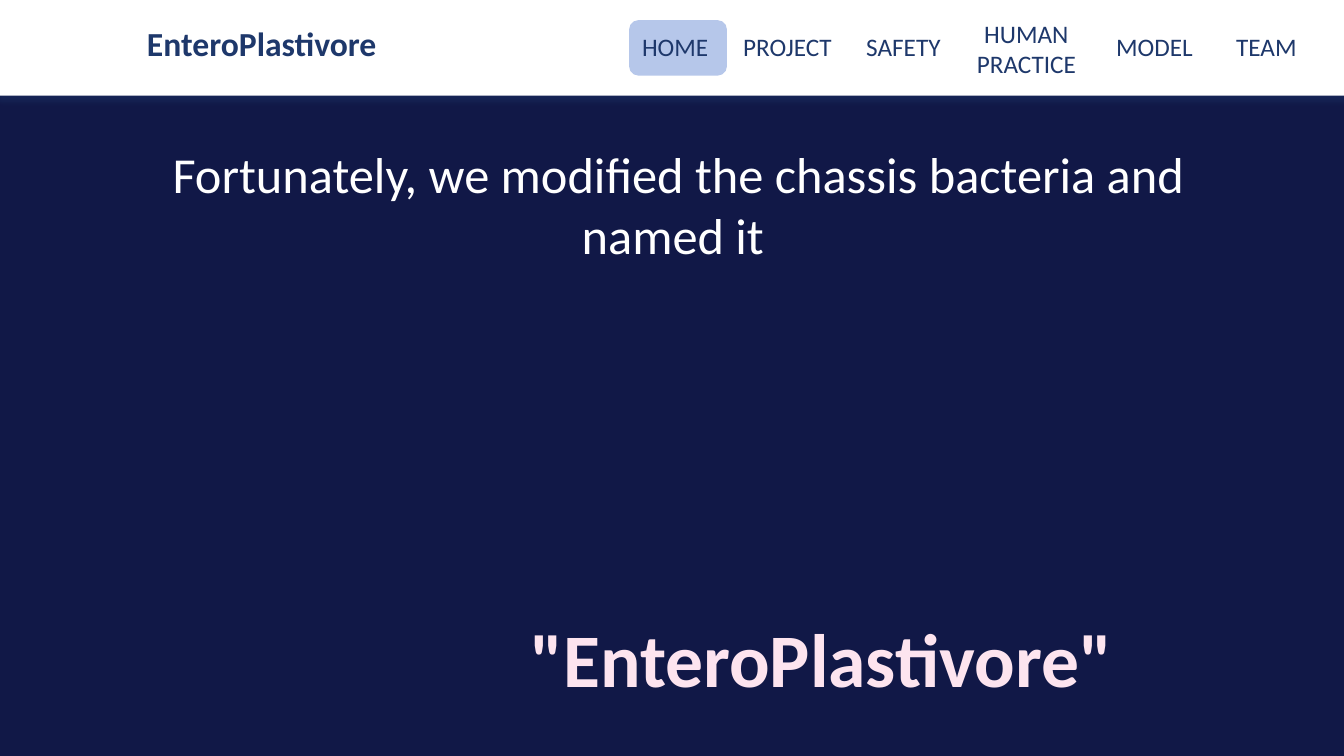
from dataclasses import dataclass

from lxml import etree
from pptx import Presentation
from pptx import util as u
from pptx.dml.color import RGBColor
from pptx.enum import shapes, text
from pptx.oxml.ns import qn


@dataclass(frozen=True)
class Theme:
    font: str = "Calibri"
    background: str = "111847"
    bar: str = "FFFFFF"
    active: str = "B6C7EA"
    navy: str = "1E386B"
    light: str = "FFFFFF"
    pink: str = "FDE4EF"
    nav_size: int = 18
    brand_size: int = 24
    title_size: int = 36
    name_size: int = 54


class SlideBuilder:
    def __init__(self, prs, theme):
        self.theme = theme
        self.s = prs.slides.add_slide(prs.slide_layouts[5])
        fill = self.s.background.fill
        fill.solid()
        fill.fore_color.rgb = RGBColor.from_string(theme.background)

    def box(self, kind, at, color):
        sp = self.s.shapes.add_shape(kind, *map(u.Inches, at))
        sp.shadow.inherit = False
        sp.fill.solid()
        sp.fill.fore_color.rgb = RGBColor.from_string(color)
        sp.line.fill.background()
        return sp

    def drop_shadow(self, sp, color):
        effects = sp._element.spPr.find(qn("a:effectLst"))
        shadow = etree.SubElement(
            effects, qn("a:outerShdw"), blurRad=str(u.Pt(4)), dist=str(u.Pt(3)),
            dir="5400000", algn="t", rotWithShape="0")
        clr = etree.SubElement(shadow, qn("a:srgbClr"), val=color)
        etree.SubElement(clr, qn("a:alpha"), val="40000")

    def set_text(self, sp, words, size, color, bold=False, align=text.PP_ALIGN.LEFT):
        tf = sp.text_frame
        tf.word_wrap = True
        tf.auto_size = text.MSO_AUTO_SIZE.NONE
        tf.vertical_anchor = text.MSO_ANCHOR.TOP
        p = tf.paragraphs[0]
        p.text = words
        p.alignment = align
        p.font.name = self.theme.font
        p.font.size = u.Pt(size)
        p.font.bold = bold
        p.font.color.rgb = RGBColor.from_string(color)

    def label(self, at, *args, **kwargs):
        self.set_text(self.s.shapes.add_textbox(*map(u.Inches, at)), *args, **kwargs)

    def title(self, at, *args, **kwargs):
        sp = self.s.shapes.title
        sp.left, sp.top, sp.width, sp.height = map(u.Inches, at)
        self.set_text(sp, *args, **kwargs)


def main():
    prs = Presentation()
    prs.slide_width, prs.slide_height = u.Inches(13.33), u.Inches(7.5)
    theme = Theme()
    b = SlideBuilder(prs, theme)
    left, center = text.PP_ALIGN.LEFT, text.PP_ALIGN.CENTER

    bar = b.box(shapes.MSO_SHAPE.RECTANGLE, (-0.02, 0, 13.37, 0.95), theme.bar)
    b.drop_shadow(bar, theme.navy)
    b.box(shapes.MSO_SHAPE.ROUNDED_RECTANGLE, (6.24, 0.2, 0.97, 0.55), theme.active)

    nav = [
        ("HOME", 6.27, 0.26, 0.4, left),
        ("PROJECT", 7.14, 0.26, 0.4, center),
        ("SAFETY", 8.29, 0.26, 0.4, center),
        ("HUMAN PRACTICE", 9.51, 0.13, 0.71, center),
        ("MODEL", 10.78, 0.26, 0.4, center),
        ("TEAM", 11.89, 0.26, 0.4, center),
    ]
    for words, x, y, height, align in nav:
        b.label((x, y, 1.34, height), words, theme.nav_size, theme.navy, align=align)

    b.title((1.42, 1.37, 10.62, 1.87),
            "Fortunately, we modified the chassis bacteria and named it ",
            theme.title_size, theme.light, align=center)
    b.label((1.36, 0.18, 4.44, 0.5), "EnteroPlastivore",
            theme.brand_size, theme.navy, bold=True)
    b.label((5.16, 6.02, 6.88, 1.01), '"EnteroPlastivore"',
            theme.name_size, theme.pink, bold=True)
    prs.save("out.pptx")


if __name__ == "__main__":
    main()
